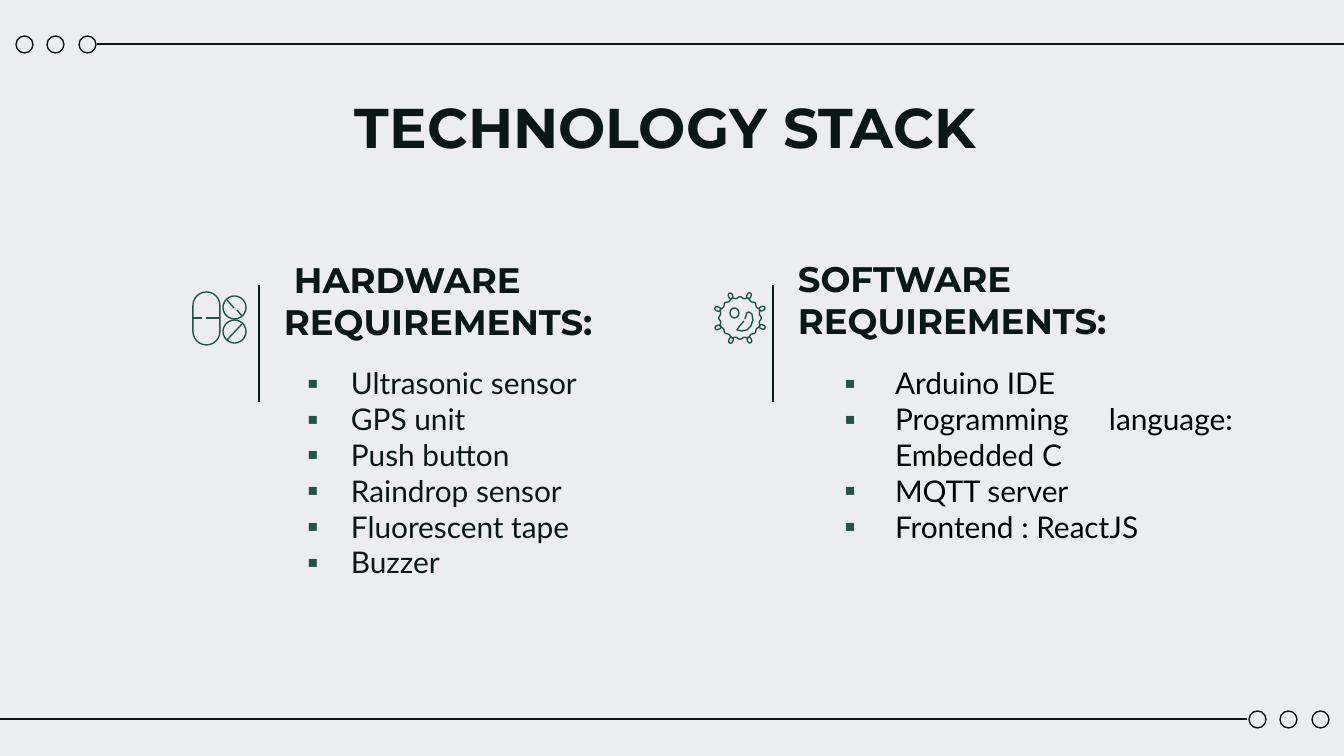
from math import cos, sin, pi, radians

from pptx import Presentation
from pptx.dml.color import RGBColor
from pptx.enum.shapes import MSO_CONNECTOR, MSO_SHAPE as SHAPE
from pptx.enum.text import MSO_ANCHOR as ANCHOR, PP_ALIGN as ALIGN
from pptx.oxml.ns import qn
from pptx.util import Pt
from lxml.etree import SubElement

PX = 914400 / 134.4
PAPER = RGBColor(0xEB, 0xED, 0xEE)
INK = RGBColor(0x0A, 0x18, 0x15)
GREEN = RGBColor(0x20, 0x55, 0x49)
BLACK = RGBColor(0, 0, 0)


def px(*values):
    return [round(value * PX) for value in values]


def outline(shape, color):
    """Give a shape or connector a thin line, no fill and no shadow."""
    if hasattr(shape, "fill"):
        shape.fill.background()
        shape.shadow.inherit = False
    else:
        SubElement(shape._element.spPr, qn("a:effectLst"))
    shape.line.color.rgb = color
    shape.line.width = Pt(0.75)


deck = Presentation()
deck.slide_width, deck.slide_height = px(1344, 756)
page = deck.slides.add_slide(deck.slide_layouts[5])
page.background.fill.solid()
page.background.fill.fore_color.rgb = PAPER
shapes = page.shapes

# Circles in the top left and bottom right corners
for left, top in ((16, 36), (1249, 711)):
    for offset in (0, 31, 63):
        circle = shapes.add_shape(SHAPE.OVAL, *px(left + offset, top, 17, 17))
        outline(circle, INK)

# Frame lines, column rules, and the strokes inside the pill icon
strokes = [
    (97, 44, 1344, 44, INK), (1247, 719, 0, 719, INK),
    (259, 285, 259, 402, INK), (773, 285, 773, 402, INK),
    (193, 318, 202, 318, GREEN), (206, 318, 219, 318, GREEN),
    (227, 300, 234, 308, GREEN), (237, 310, 242, 316, GREEN),
    (227, 340, 242, 324, GREEN),
]
for *ends, color in strokes:
    outline(shapes.add_connector(MSO_CONNECTOR.STRAIGHT, *px(*ends)), color)

# Title
title = shapes.title
title.left, title.top, title.width, title.height = px(342, 80, 694, 85)

# Column headings and lists
heading_texts = [
    (271, 244, [" HARDWARE", "REQUIREMENTS:"]),
    (785, 243, ["SOFTWARE REQUIREMENTS:"]),
]
blocks = [(title, ["TECHNOLOGY STACK"], 30, ANCHOR.TOP)]
for left, top, lines in heading_texts:
    box = shapes.add_textbox(*px(left, top, 372, 112))
    blocks.append((box, lines, 19, ANCHOR.BOTTOM))

for box, lines, size, anchor in blocks:
    frame = box.text_frame
    frame.word_wrap = True
    frame.vertical_anchor = anchor
    frame.margin_left, frame.margin_top, frame.margin_right, frame.margin_bottom = px(13, 13, 13, 13)
    for i, line in enumerate(lines):
        para = frame.add_paragraph() if i else frame.paragraphs[0]
        para.alignment = ALIGN.LEFT
        span = para.add_run()
        span.text = line
        span.font.name, span.font.size, span.font.bold = "Montserrat", Pt(size), True
        span.font.color.rgb = INK

lists = [
    (271, 372, 67, 44, ALIGN.LEFT, INK,
     ["Ultrasonic sensor", "GPS unit", "Push button", "Raindrop sensor",
      "Fluorescent tape", "Buzzer"]),
    (780, 466, 102, 51, ALIGN.JUSTIFY, BLACK,
     ["Arduino IDE", "Programming language: Embedded C", "MQTT server",
      "Frontend : ReactJS"]),
]
for left, width, indent, hanging, align, color, items in lists:
    frame = shapes.add_textbox(*px(left, 352, width, 218)).text_frame
    frame.word_wrap = True
    frame.margin_left, frame.margin_top, frame.margin_right, frame.margin_bottom = px(13, 13, 13, 13)
    for i, item in enumerate(items):
        para = frame.add_paragraph() if i else frame.paragraphs[0]
        para.alignment = align
        props = para._p.get_or_add_pPr()
        props.set("marL", str(px(indent)[0]))
        props.set("indent", str(px(-hanging)[0]))
        bullet_color = SubElement(props, qn("a:buClr"))
        SubElement(bullet_color, qn("a:srgbClr")).set("val", str(GREEN))
        SubElement(props, qn("a:buFont")).set("typeface", "Lato")
        SubElement(props, qn("a:buChar")).set("char", "▪")
        span = para.add_run()
        span.text = item
        span.font.name, span.font.size = "Lato", Pt(16)
        span.font.color.rgb = color

# Pill icon outlines, and the oval inside the germ icon
icon_parts = [
    (SHAPE.ROUNDED_RECTANGLE, 193, 292, 27, 53),
    (SHAPE.OVAL, 223, 296, 23, 23),
    (SHAPE.OVAL, 223, 320, 23, 23),
    (SHAPE.OVAL, 730, 308, 9, 10),
]
for kind, *place in icon_parts:
    part = shapes.add_shape(kind, *px(*place))
    outline(part, GREEN)
    if kind == SHAPE.ROUNDED_RECTANGLE:
        part.adjustments[0] = 0.5

# Germ icon: spikes around a rippled ring, with a bean inside
center_x, center_y = 740, 318
for angle in range(22, 360, 45):
    x = center_x + 24 * cos(radians(angle))
    y = center_y + 24 * sin(radians(angle))
    spike = shapes.add_shape(SHAPE.ROUNDED_RECTANGLE, *px(x - 3, y - 2, 6, 4))
    spike.adjustments[0] = 0.5
    spike.rotation = angle
    outline(spike, GREEN)

ring = []
for step in range(128):
    turn = 2 * pi * step / 128
    radius = 20.5 + 0.8 * cos(16 * turn)
    ring.append((center_x + radius * cos(turn), center_y + radius * sin(turn)))
bean = [(745, 319), (747, 313), (749, 312), (752, 314), (753, 320), (751, 326),
        (747, 330), (742, 331), (737, 330), (739, 327), (744, 321)]
for points, closed in ((ring, True), (bean, False)):
    builder = shapes.build_freeform(*px(*points[0]))
    builder.add_line_segments([px(*point) for point in points[1:]], close=closed)
    outline(builder.convert_to_shape(), GREEN)

deck.save("out.pptx")
